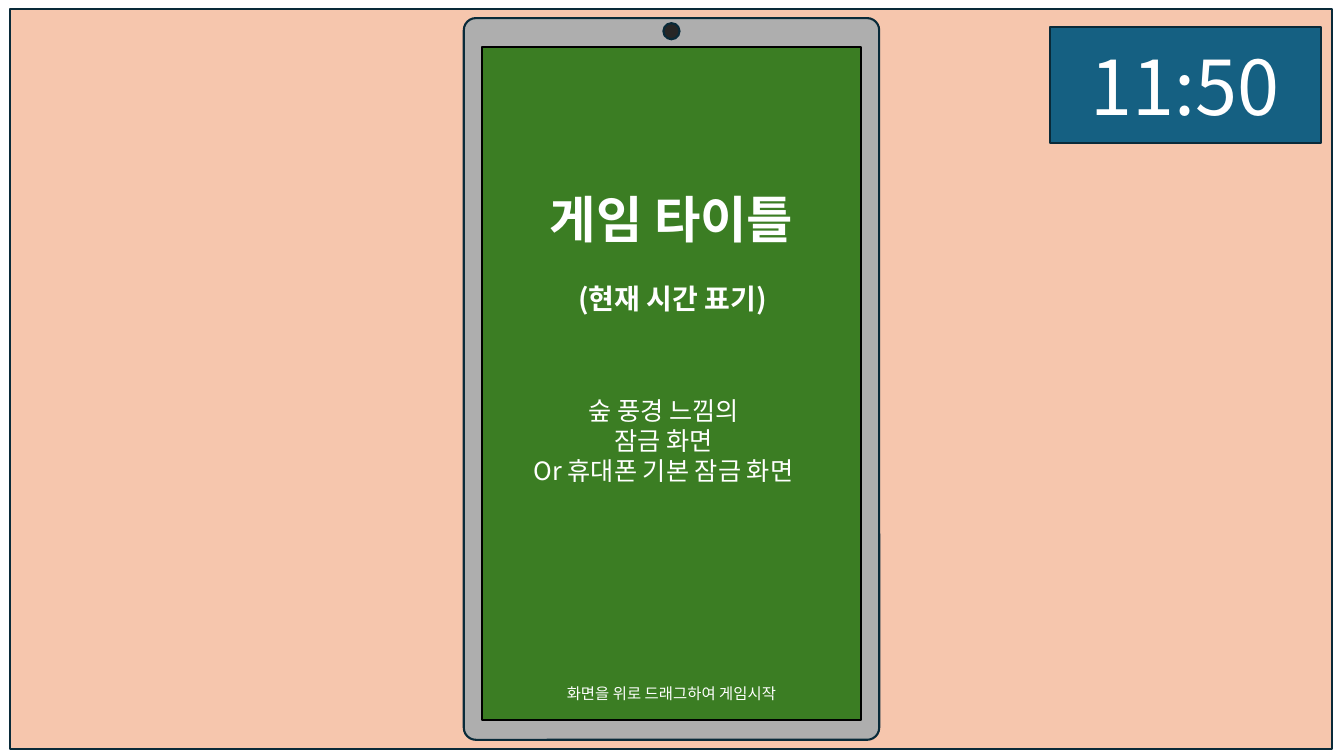
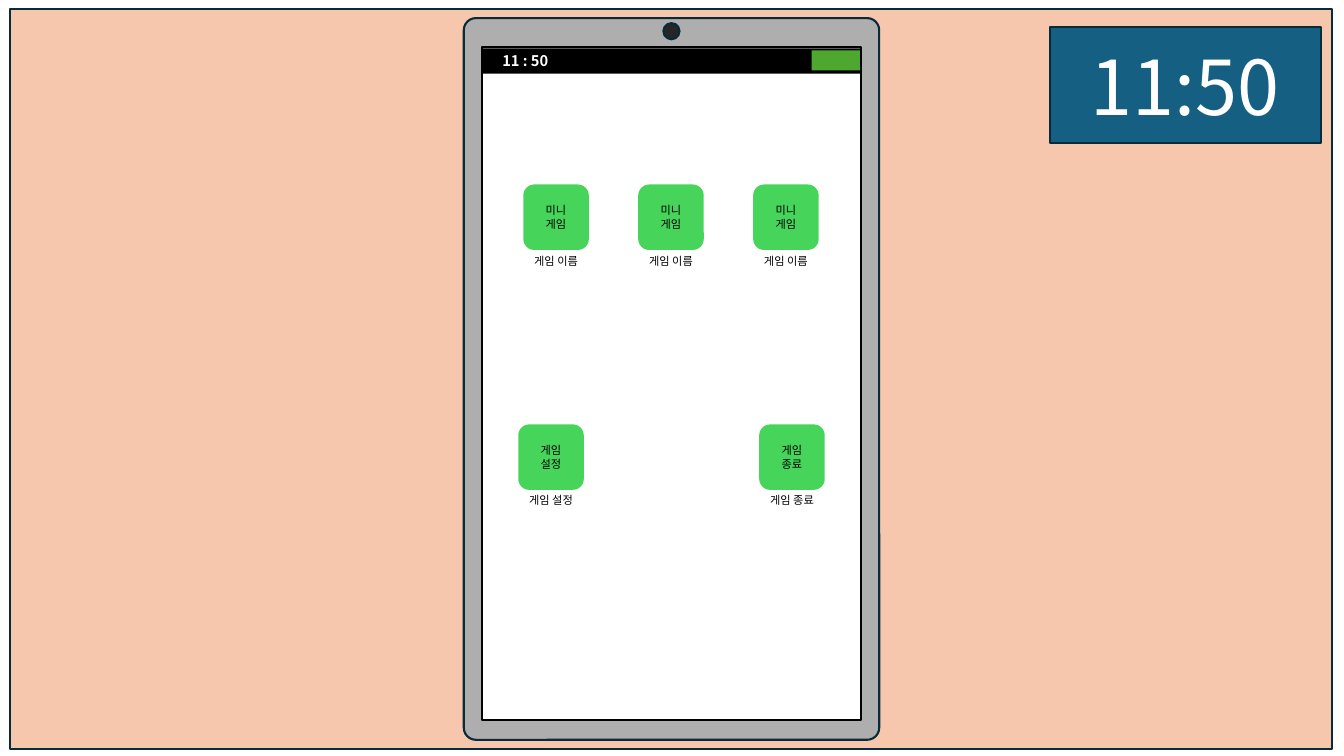
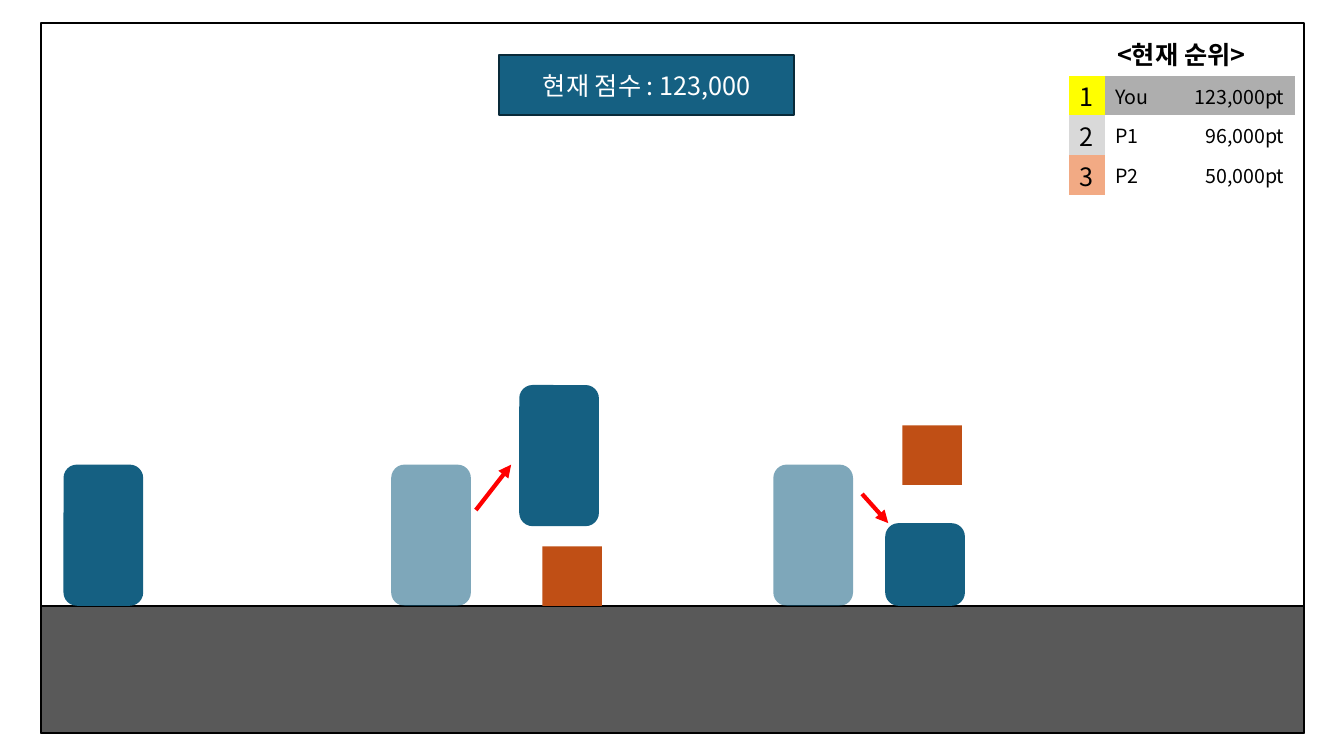
from lxml.etree import SubElement
from pptx import Presentation
from pptx.dml.color import RGBColor
from pptx.enum.shapes import MSO_CONNECTOR as Connector, MSO_SHAPE as Shape
from pptx.enum.text import MSO_ANCHOR as Anchor, MSO_AUTO_SIZE as AutoSize, PP_ALIGN as Align
from pptx.oxml.ns import qn
from pptx.util import Inches, Pt

FONT = "Noto Sans CJK KR"
NO_TABLE_STYLE = "{2D5ABB26-0587-4C30-8999-92F81FD0307C}"
WHITE, BLACK = "FFFFFF", "000000"
NAVY, BLUE, GRAY = "092A39", "156082", "AEAEAE"
PEACH, FOREST, LENS = "F6C6AD", "3B7D23", "262626"
BATTERY, TILE, RED = "4EA72E", "47D45A", "FF0000"
GROUND, OBSTACLE = "595959", "C04F15"

CLOCK = "11:50"
SCREEN = (4.78, 0.47, 3.76, 6.67)
LOCK_TITLE = ("게임 타이틀", (5.21, 1.82, 2.9, 0.71), {"size": 36, "bold": True})
LOCK_TEXTS = [
    ("화면을 위로 드래그하여 게임시작", (5.4, 6.74, 2.52, 0.29), {"size": 11}),
    ("숲 풍경 느낌의\n잠금 화면\nOr 휴대폰 기본 잠금 화면", (5.02, 3.87, 3.12, 1.01), {"size": 18}),
    ("(현재 시간 표기)", (5.53, 2.74, 2.28, 0.44), {"size": 20, "bold": True}),
]

TILE_SIZE = 0.65
TILE_ROWS = [
    (5.19, 1.83, 1.14, [("미니\n게임", "게임 이름")] * 3),
    (5.14, 4.21, 2.39, [("게임\n설정", "게임 설정"), ("게임\n종료", "게임 종료")]),
]

FIELD = (0.41, 0.23, 12.52, 7.04)
GROUND_TOP = 6.01
PLAYER_WIDTH, PLAYER_HEIGHT, OBSTACLE_SIZE = 0.79, 1.4, 0.59
PLAYERS = [
    (0.63, GROUND_TOP, PLAYER_HEIGHT, 100),
    (7.67, GROUND_TOP, PLAYER_HEIGHT, 55),
    (5.15, 5.22, PLAYER_HEIGHT, 100),
    (3.88, GROUND_TOP, PLAYER_HEIGHT, 55),
    (8.78, GROUND_TOP, 0.82, 100),
]
OBSTACLES = [(5.38, GROUND_TOP), (8.95, 4.81)]
ARROWS = [((4.72, 5.06), (5.07, 4.61)), ((8.55, 4.9), (8.81, 5.19))]
RANK_COLUMNS = [(0.36, Align.CENTER, 18), (0.54, Align.LEFT, 14), (1.34, Align.RIGHT, 14)]
RANK_ROW_HEIGHT = 0.395
RANKING = [
    (("1", "You", "123,000pt"), "FFFF00", GRAY),
    (("2", "P1", "96,000pt"), "D9D9D9", WHITE),
    (("3", "P2", "50,000pt"), "F2AA84", WHITE),
]


def color(value):
    return RGBColor.from_string(value)


def inches(values):
    return [Inches(value) for value in values]


def write(frame, text, size=18, ink=WHITE, bold=False, align=Align.CENTER):
    for index, line in enumerate(text.split("\n")):
        para = frame.paragraphs[0] if index == 0 else frame.add_paragraph()
        para.alignment = align
        span = para.add_run()
        span.text = line
        for name, value in {"size": Pt(size), "bold": bold, "name": FONT}.items():
            setattr(span.font, name, value)
        span.font.color.rgb = color(ink)
        SubElement(span.font._element, qn("a:ea"), typeface=FONT)


def add_box(shapes, kind, place, fill, line=None, text=None, opacity=100, **style):
    box = shapes.add_shape(kind, *inches(place))
    box.shadow.inherit = False
    box.fill.solid()
    box.fill.fore_color.rgb = color(fill)
    if opacity < 100:
        tint = box.fill._xPr.find(".//" + qn("a:srgbClr"))
        SubElement(tint, qn("a:alpha"), val=str(opacity * 1000))
    if line:
        box.line.color.rgb = color(line)
        box.line.width = Pt(1.5)
    else:
        box.line.fill.background()
    if text:
        box.text_frame.word_wrap = True
        box.text_frame.vertical_anchor = Anchor.MIDDLE
        write(box.text_frame, text, **style)
    return box


def add_text(shapes, text, place, style):
    box = shapes.add_textbox(*inches(place))
    box.text_frame.word_wrap = False
    write(box.text_frame, text, **style)


def add_arrow(shapes, start, end):
    arrow = shapes.add_connector(Connector.STRAIGHT, *inches(start + end))
    arrow.line.color.rgb = color(RED)
    arrow.line.width = Pt(3)
    SubElement(arrow.line._get_or_add_ln(), qn("a:tailEnd"), type="triangle")
    SubElement(arrow.element.spPr, qn("a:effectLst"))


def add_phone(shapes, screen_color):
    add_box(shapes, Shape.RECTANGLE, (0.1, 0.09, 13.11, 7.34), PEACH, NAVY)
    add_box(shapes, Shape.RECTANGLE, (10.41, 0.27, 2.69, 1.15), BLUE, NAVY, CLOCK, size=54)
    body = add_box(shapes, Shape.ROUNDED_RECTANGLE, (4.6, 0.18, 4.12, 7.16), GRAY, NAVY)
    body.adjustments[0] = 0.029
    add_box(shapes, Shape.OVAL, (6.58, 0.23, 0.16, 0.16), LENS, NAVY)
    add_box(shapes, Shape.RECTANGLE, SCREEN, screen_color, BLACK)


def add_tile(shapes, left, top, text, label):
    tile = shapes.add_group_shape().shapes
    add_box(tile, Shape.ROUNDED_RECTANGLE, (left, top, TILE_SIZE, TILE_SIZE), TILE,
            text=text, size=8, ink=BLACK)
    add_text(tile, label, (left - 0.02, top + 0.64, 0.69, 0.24), {"size": 8, "ink": BLACK})


def add_ranking(shapes, left, top):
    width = sum(column[0] for column in RANK_COLUMNS)
    place = (left, top, width, RANK_ROW_HEIGHT * len(RANKING))
    holder = shapes.add_table(len(RANKING), len(RANK_COLUMNS), *inches(place))
    holder.element.find(".//" + qn("a:tableStyleId")).text = NO_TABLE_STYLE
    table = holder.table
    table.first_row = table.horz_banding = False
    for column, (column_width, _, _) in zip(table.columns, RANK_COLUMNS):
        column.width = Inches(column_width)
    for row, (texts, badge, back) in enumerate(RANKING):
        table.rows[row].height = Inches(RANK_ROW_HEIGHT)
        for index, (text, (_, align, size)) in enumerate(zip(texts, RANK_COLUMNS)):
            cell = table.cell(row, index)
            cell.fill.solid()
            cell.fill.fore_color.rgb = color(back if index else badge)
            cell.margin_top = cell.margin_bottom = 0
            cell.vertical_anchor = Anchor.MIDDLE
            write(cell.text_frame, text, size, BLACK, align=align)


def build_lock_screen(deck):
    page = deck.slides.add_slide(deck.slide_layouts[5])
    add_phone(page.shapes, FOREST)
    text, place, style = LOCK_TITLE
    title = page.shapes.title
    for name, value in zip(("left", "top", "width", "height"), inches(place)):
        setattr(title, name, value)
    frame_format = {"word_wrap": False, "auto_size": AutoSize.NONE, "vertical_anchor": Anchor.TOP}
    for name, value in frame_format.items():
        setattr(title.text_frame, name, value)
    write(title.text_frame, text, **style)
    page.shapes.element.append(title.element)
    for text, place, style in LOCK_TEXTS:
        add_text(page.shapes, text, place, style)


def build_home_screen(deck):
    shapes = deck.slides.add_slide(deck.slide_layouts[6]).shapes
    add_phone(shapes, WHITE)
    add_box(shapes, Shape.RECTANGLE, (4.78, 0.48, 3.76, 0.25), BLACK)
    add_box(shapes, Shape.RECTANGLE, (8.05, 0.5, 0.48, 0.2), BATTERY)
    add_box(shapes, Shape.RECTANGLE, (4.8, 0.5, 0.82, 0.2), BLACK, text="11 : 50", size=10.5, bold=True)
    for left, top, step, tiles in TILE_ROWS:
        for index, (text, label) in enumerate(tiles):
            add_tile(shapes, left + index * step, top, text, label)


def build_game_screen(deck):
    shapes = deck.slides.add_slide(deck.slide_layouts[6]).shapes
    left, top, width, height = FIELD
    add_box(shapes, Shape.RECTANGLE, FIELD, WHITE, BLACK)
    add_box(shapes, Shape.RECTANGLE, (left, GROUND_TOP, width, top + height - GROUND_TOP), GROUND, BLACK)
    for left, bottom in OBSTACLES:
        add_box(shapes, Shape.RECTANGLE, (left, bottom - OBSTACLE_SIZE, OBSTACLE_SIZE, OBSTACLE_SIZE), OBSTACLE)
    for left, bottom, height, opacity in PLAYERS:
        add_box(shapes, Shape.ROUNDED_RECTANGLE, (left, bottom - height, PLAYER_WIDTH, height), BLUE,
                opacity=opacity)
    for start, end in ARROWS:
        add_arrow(shapes, start, end)
    add_text(shapes, "<현재 순위>", (10.86, 0.34, 1.71, 0.4), {"ink": BLACK, "bold": True})
    add_ranking(shapes, 10.6, 0.75)
    add_box(shapes, Shape.RECTANGLE, (4.95, 0.55, 2.93, 0.59), BLUE, NAVY, "현재 점수 : 123,000")


def main():
    deck = Presentation()
    deck.slide_width, deck.slide_height = inches((13.33, 7.5))
    for build in (build_lock_screen, build_home_screen, build_game_screen):
        build(deck)
    deck.save("out.pptx")


if __name__ == "__main__":
    main()
